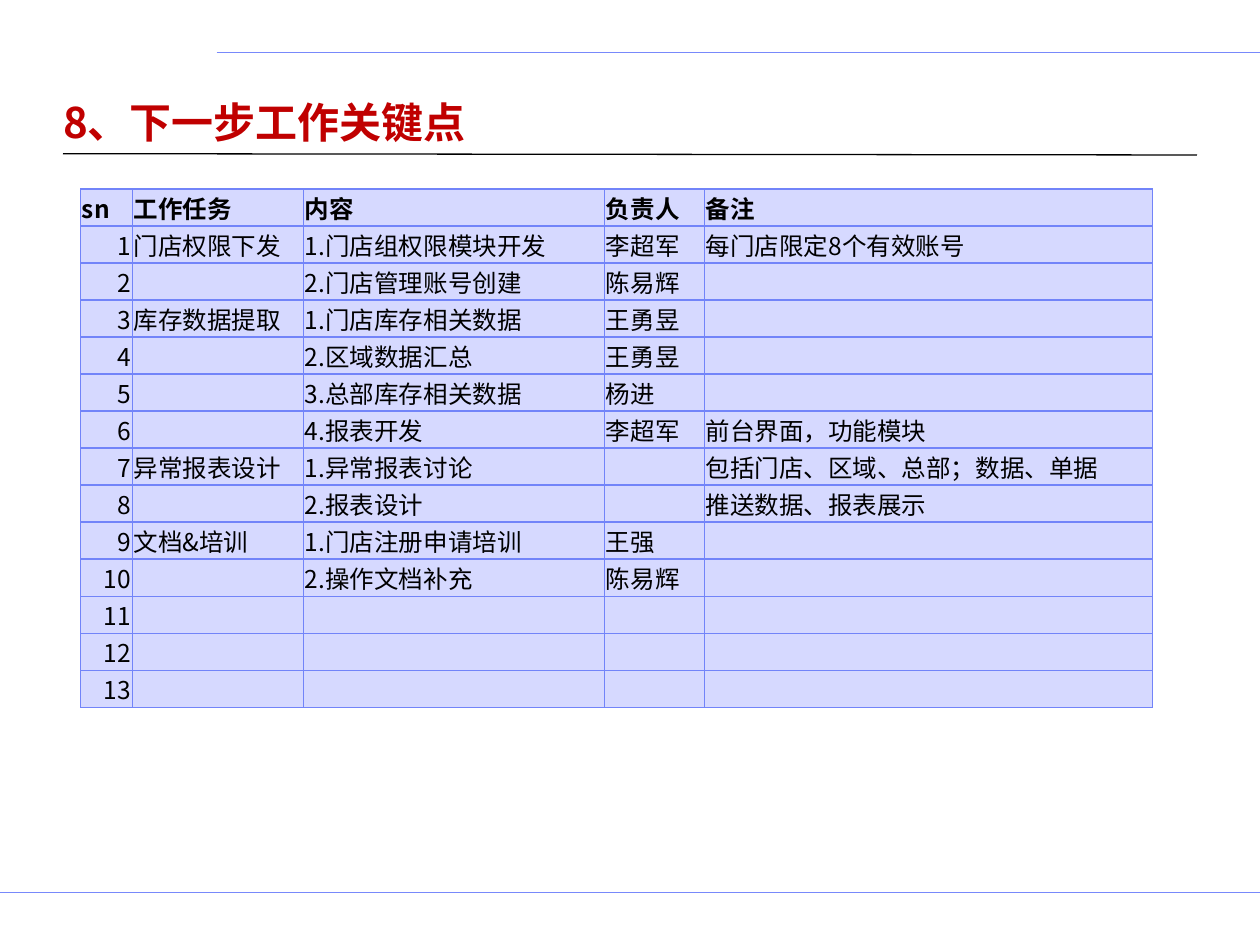
from lxml import etree
from pptx import Presentation
from pptx.dml.color import RGBColor
from pptx.enum import shapes, text
from pptx.oxml.ns import qn
from pptx.util import Inches, Pt

FONT = "Noto Sans CJK SC"
RED = RGBColor(0xC0, 0x00, 0x00)
BLACK = RGBColor(0x00, 0x00, 0x00)
RULE_BLUE = RGBColor(0x78, 0x89, 0xFB)
BORDER_BLUE = RGBColor(0x72, 0x84, 0xF9)
CELL_FILL = RGBColor(0xD6, 0xD9, 0xFF)

TITLE = "8、下一步工作关键点"
HEADER = ["sn", "工作任务", "内容", "负责人", "备注"]
TASKS = [
    ["门店权限下发", "1.门店组权限模块开发", "李超军", "每门店限定8个有效账号"],
    ["", "2.门店管理账号创建", "陈易辉", ""],
    ["库存数据提取", "1.门店库存相关数据", "王勇昱", ""],
    ["", "2.区域数据汇总", "王勇昱", ""],
    ["", "3.总部库存相关数据", "杨进", ""],
    ["", "4.报表开发", "李超军", "前台界面，功能模块"],
    ["异常报表设计", "1.异常报表讨论", "", "包括门店、区域、总部；数据、单据"],
    ["", "2.报表设计", "", "推送数据、报表展示"],
    ["文档&培训", "1.门店注册申请培训", "王强", ""],
    ["", "2.操作文档补充", "陈易辉", ""],
] + [[""] * 4] * 3
COLUMN_WIDTHS = [0.41, 1.36, 2.39, 0.79, 3.56]
ROW_HEIGHT = 0.25
# start x, start y, end x, end y, colour, width
RULES = [
    (1.72, 0.42, 10, 0.42, RULE_BLUE, 0.5),
    (0, 7.08, 10, 7.08, RULE_BLUE, 0.5),
    (0.5, 1.22, 9.5, 1.23, BLACK, 0.75),
]


def set_values(target, values):
    for name, value in values.items():
        setattr(target, name, value)


def write(para, words, size, color, bold):
    """Put one formatted span in the paragraph, or only its size if empty."""
    if not words:
        end = etree.SubElement(para._p, qn("a:endParaRPr"))
        end.set("sz", str(size * 100))
        return
    span = para.add_run()
    span.text = words
    set_values(span.font, {"name": FONT, "size": Pt(size), "bold": bold})
    span.font.color.rgb = color
    east_asian = etree.SubElement(span._r.get_or_add_rPr(), qn("a:ea"))
    east_asian.set("typeface", FONT)


def add_rules(page):
    for x1, y1, x2, y2, color, width in RULES:
        rule = page.shapes.add_connector(
            shapes.MSO_CONNECTOR.STRAIGHT,
            Inches(x1), Inches(y1), Inches(x2), Inches(y2))
        rule.line.color.rgb = color
        rule.line.width = Pt(width)
        etree.SubElement(rule._element.spPr, qn("a:effectLst"))


def add_title(page, left, top, width, height):
    box = page.shapes.title
    set_values(box, {"left": Inches(left), "top": Inches(top),
                     "width": Inches(width), "height": Inches(height)})
    set_values(box.text_frame, {
        "margin_left": 0, "margin_right": 0,
        "margin_top": Inches(0.05), "margin_bottom": Inches(0.05),
        "vertical_anchor": text.MSO_ANCHOR.BOTTOM, "word_wrap": True})
    para = box.text_frame.paragraphs[0]
    para.alignment = text.PP_ALIGN.LEFT
    write(para, TITLE, 24, RED, True)


def add_borders(cell):
    properties = cell._tc.get_or_add_tcPr()
    for side in ("lnL", "lnR", "lnT", "lnB"):
        line = etree.SubElement(properties, qn(f"a:{side}"), w=str(Pt(0.75)))
        fill = etree.SubElement(line, qn("a:solidFill"))
        etree.SubElement(fill, qn("a:srgbClr"), val=str(BORDER_BLUE))


def format_cell(cell, words, is_header, is_number):
    set_values(cell, {
        "margin_left": Inches(0.01), "margin_right": Inches(0.01),
        "margin_top": Inches(0.01), "margin_bottom": 0,
        "vertical_anchor": text.MSO_ANCHOR.MIDDLE})
    add_borders(cell)
    cell.fill.solid()
    cell.fill.fore_color.rgb = CELL_FILL
    para = cell.text_frame.paragraphs[0]
    para.alignment = text.PP_ALIGN.RIGHT if is_number else text.PP_ALIGN.LEFT
    write(para, words, 14, BLACK, is_header)


def add_task_table(page, left, top):
    rows = [HEADER] + [[str(n)] + task for n, task in enumerate(TASKS, 1)]
    table = page.shapes.add_table(
        len(rows), len(HEADER), Inches(left), Inches(top),
        Inches(sum(COLUMN_WIDTHS)), Inches(ROW_HEIGHT * len(rows))).table
    set_values(table, {"first_row": False, "horz_banding": False})
    for column, width in zip(table.columns, COLUMN_WIDTHS):
        column.width = Inches(width)
    for r, row in enumerate(rows):
        table.rows[r].height = Inches(ROW_HEIGHT)
        for c, words in enumerate(row):
            format_cell(table.cell(r, c), words, r == 0, r > 0 and c == 0)


def main():
    deck = Presentation()
    set_values(deck, {"slide_width": Inches(10), "slide_height": Inches(7.5)})
    page = deck.slides.add_slide(deck.slide_layouts[5])
    add_rules(page)
    add_title(page, 0.5, 0.62, 9, 0.6)
    add_task_table(page, 0.64, 1.5)
    deck.save("out.pptx")


if __name__ == "__main__":
    main()
